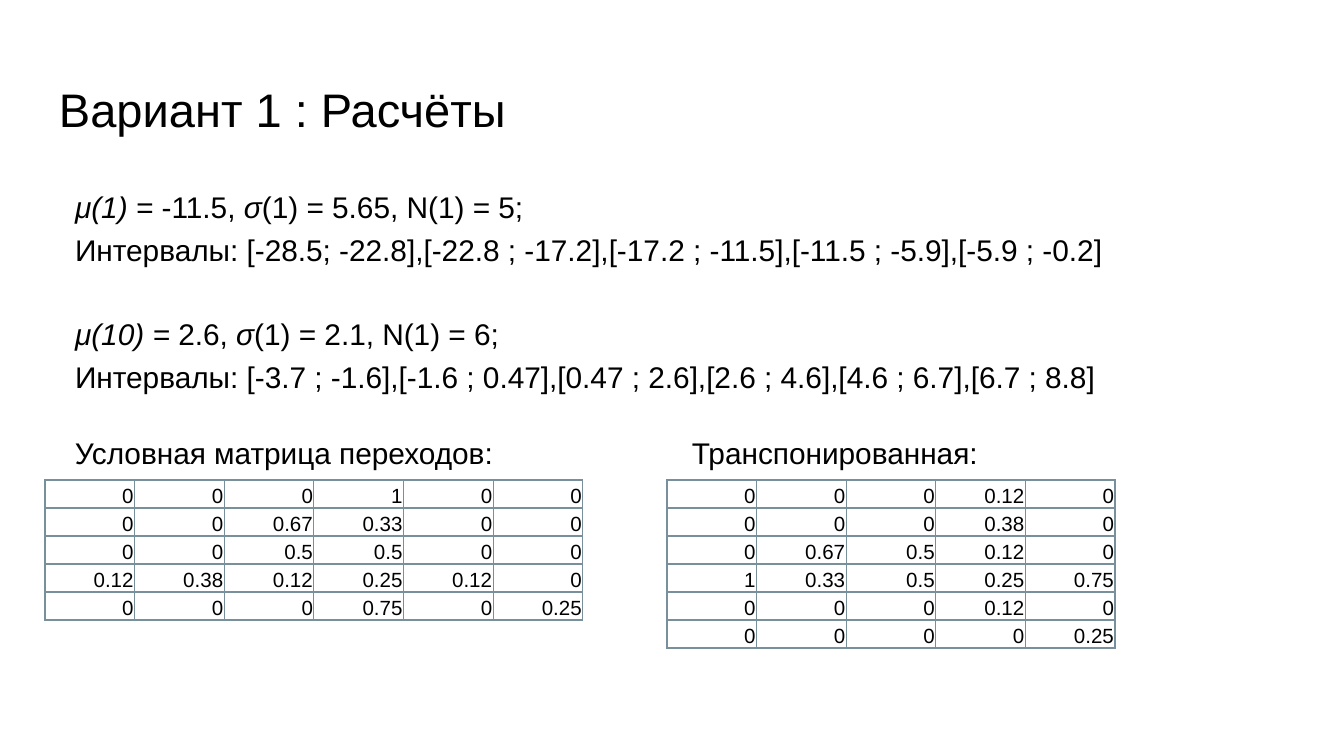
from dataclasses import dataclass

from lxml.etree import SubElement
from pptx import Presentation
from pptx.dml.color import RGBColor
from pptx.enum.text import MSO_ANCHOR as Anchor, PP_ALIGN as Align
from pptx.oxml.ns import qn
from pptx.util import Emu, Pt

EMU_PER_PX = 914400 / 134.4


@dataclass(frozen=True)
class Theme:
    font: str = "Arial"
    background: str = "FFFFFF"
    text: str = "000000"
    grid: str = "78909C"
    title_size: float = 25.2
    body_size: float = 16
    cell_size: float = 11
    grid_width: float = 0.75
    line_spacing: float = 1.2
    group_gap: float = 22


THEME = Theme()

STATISTICS = [
    [
        [("μ(1) = ", True), ("-11.5,", False), (" σ", True), ("(1) = 5.65, N(1) = 5;", False)],
        [("Интервалы: [-28.5; -22.8],[-22.8 ; -17.2],[-17.2 ; -11.5],[-11.5 ; -5.9],[-5.9 ; -0.2]", False)],
    ],
    [
        [("μ(10) = ", True), ("2.6,", False), (" σ", True), ("(1) = 2.1, N(1) = 6;", False)],
        [("Интервалы: [-3.7 ; -1.6],[-1.6 ; 0.47],[0.47 ; 2.6],[2.6 ; 4.6],[4.6 ; 6.7],[6.7 ; 8.8]", False)],
    ],
]

TRANSITIONS = [
    ["0", "0", "0", "1", "0", "0"],
    ["0", "0", "0.67", "0.33", "0", "0"],
    ["0", "0", "0.5", "0.5", "0", "0"],
    ["0.12", "0.38", "0.12", "0.25", "0.12", "0"],
    ["0", "0", "0", "0.75", "0", "0.25"],
]


def px(value):
    return Emu(round(value * EMU_PER_PX))


def add_run(paragraph, text, size, italic=False):
    run = paragraph.add_run()
    run.text = text
    run.font.name = THEME.font
    run.font.size = Pt(size)
    run.font.italic = italic
    run.font.color.rgb = RGBColor.from_string(THEME.text)


def add_text_frame(slide, box, inset, anchor):
    frame = slide.shapes.add_textbox(*map(px, box)).text_frame
    frame.word_wrap = True
    frame.vertical_anchor = anchor
    frame.margin_left = frame.margin_right = px(inset)
    frame.margin_top = frame.margin_bottom = px(inset)
    return frame


def add_title(slide, box):
    frame = add_text_frame(slide, box, 13, Anchor.MIDDLE)
    add_run(frame.paragraphs[0], "Вариант 1 : Расчёты", THEME.title_size)


def add_statistics(slide, box):
    frame = add_text_frame(slide, box, 13, Anchor.TOP)
    paragraph = frame.paragraphs[0]
    for group_index, group in enumerate(STATISTICS):
        for line_index, line in enumerate(group):
            if group_index or line_index:
                paragraph = frame.add_paragraph()
            paragraph.line_spacing = THEME.line_spacing
            if group_index and line_index == 0:
                paragraph.space_before = Pt(THEME.group_gap)
            for text, italic in line:
                add_run(paragraph, text, THEME.body_size, italic)


def set_borders(cell):
    properties = cell._tc.get_or_add_tcPr()
    for index, side in enumerate(("lnL", "lnR", "lnT", "lnB")):
        line = properties.makeelement(qn(f"a:{side}"), {"w": str(Pt(THEME.grid_width))})
        fill = SubElement(line, qn("a:solidFill"))
        SubElement(fill, qn("a:srgbClr"), val=THEME.grid)
        properties.insert(index, line)


def fill_cell(cell, value):
    cell.fill.background()
    cell.vertical_anchor = Anchor.BOTTOM
    cell.margin_left = cell.margin_right = cell.margin_top = px(1)
    cell.margin_bottom = 0
    paragraph = cell.text_frame.paragraphs[0]
    paragraph.alignment = Align.RIGHT
    add_run(paragraph, value, THEME.cell_size)
    set_borders(cell)


def add_matrix(slide, box, caption, caption_indent, matrix):
    left, top, width, height = box
    caption_height, caption_gap, row_height = 34, 10, 28
    caption_box = (left + caption_indent, top, width - caption_indent, caption_height)
    frame = add_text_frame(slide, caption_box, 0, Anchor.MIDDLE)
    add_run(frame.paragraphs[0], caption, THEME.body_size)

    table_top = top + caption_height + caption_gap
    row_count, column_count = len(matrix), len(matrix[0])
    table = slide.shapes.add_table(
        row_count, column_count,
        px(left), px(table_top), px(width), px(row_count * row_height),
    ).table
    table.first_row = table.horz_banding = False
    for column in table.columns:
        column.width = px(width / column_count)
    for row, values in zip(table.rows, matrix):
        row.height = px(row_height)
        for cell, value in zip(row.cells, values):
            fill_cell(cell, value)


def main():
    presentation = Presentation()
    presentation.slide_width = px(1344)
    presentation.slide_height = px(756)
    slide = presentation.slides.add_slide(presentation.slide_layouts[6])
    slide.background.fill.solid()
    slide.background.fill.fore_color.rgb = RGBColor.from_string(THEME.background)

    add_title(slide, (46, 67, 1252, 84))
    add_statistics(slide, (62, 169, 1236, 240))
    add_matrix(slide, (45, 436, 538, 184), "Условная матрица переходов:", 30, TRANSITIONS)
    add_matrix(slide, (667, 436, 448, 212), "Транспонированная:", 25, list(zip(*TRANSITIONS)))
    presentation.save("out.pptx")


if __name__ == "__main__":
    main()
